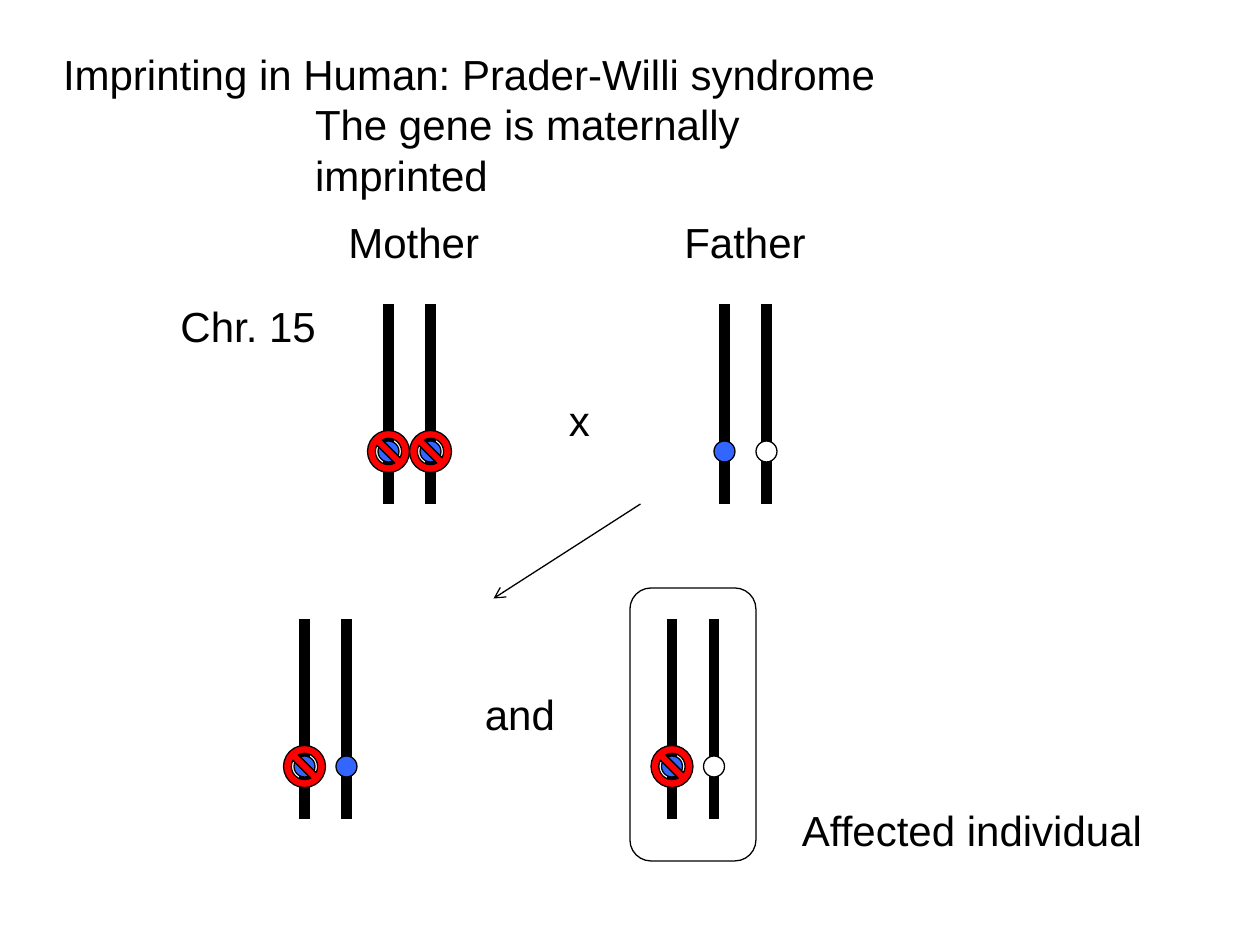
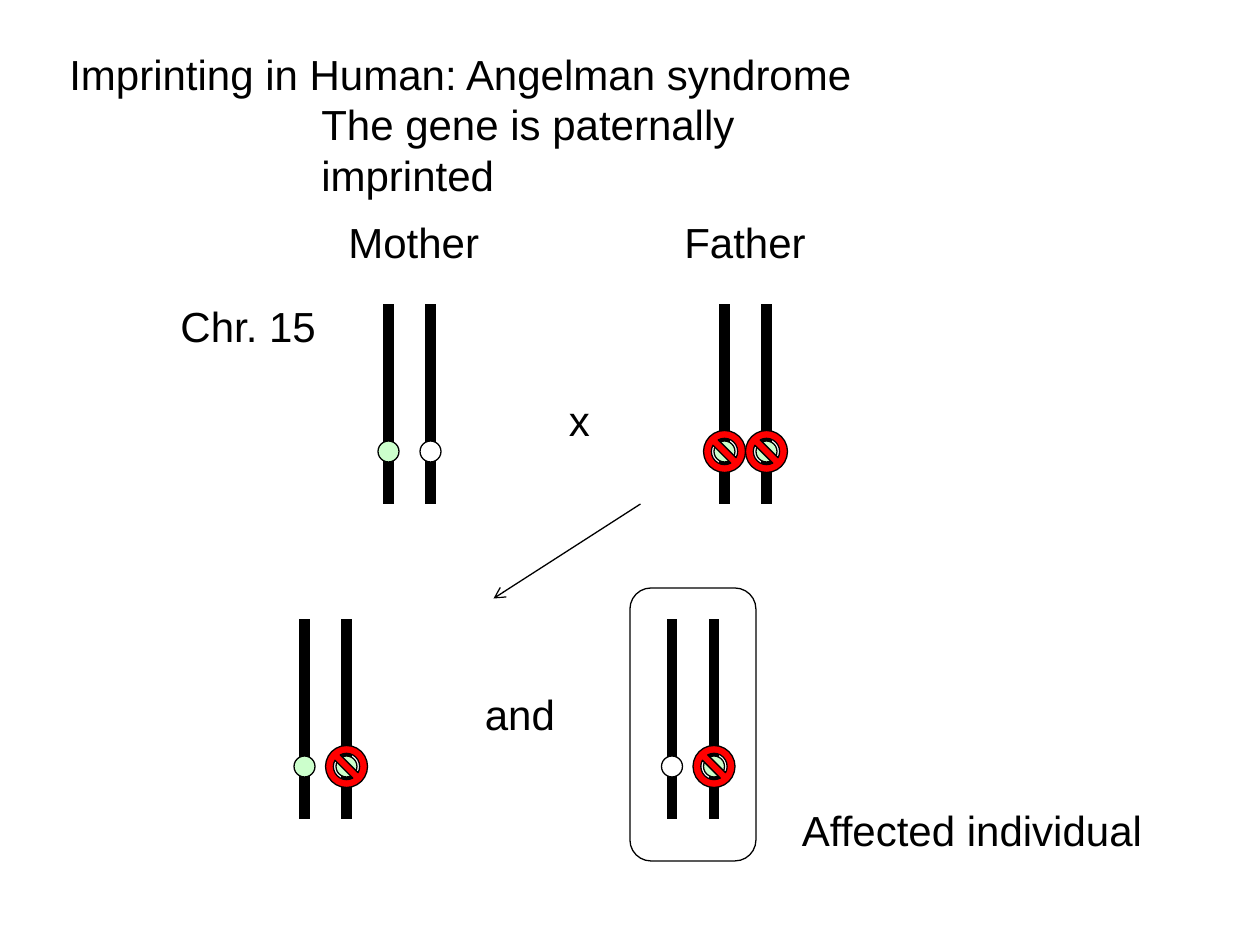
from pptx import Presentation
from pptx import util as u
from pptx.dml import color
from pptx.enum import shapes, text
from pptx.oxml import ns, xmlchemy

HEX = {"ink": "000000", "blue": "3366FF", "green": "CCFFCC",
       "white": "FFFFFF", "red": "FF0000"}
COLS, ROWS = 120, 90
FONT = {"name": "Arial", "size": u.Pt(24), "bold": False}
FRAME = {"margin_left": u.Inches(0.1), "margin_right": u.Inches(0.1),
         "margin_top": u.Inches(0.05), "margin_bottom": u.Inches(0.05),
         "word_wrap": False, "auto_size": text.MSO_AUTO_SIZE.NONE,
         "vertical_anchor": text.MSO_ANCHOR.TOP}
SIDES = ("left", "top", "width", "height")
THIN, THICK = 0.75, 6
INDENT = 24

LABELS = [("Mother", 32, 20, 14.9), ("Father", 64, 20, 13.9),
          ("Chr. 15", 16, 28, 15.5), ("x", 53, 37, 4.3),
          ("and", 45, 65, 9), ("Affected individual", 75.2, 76, 34.8)]
SPOTS = [(37, 29), (69, 29), (29, 59), (64, 59)]
CASES = [
    {"lines": ("Imprinting in Human: Prader-Willi syndrome",
               "The gene is maternally imprinted"),
     "left": 4.8, "wide": 84.4,
     "pairs": [[("blue", True), ("blue", True)],
               [("blue", False), ("white", False)],
               [("blue", True), ("blue", False)],
               [("blue", True), ("white", False)]]},
    {"lines": ("Imprinting in Human: Angelman syndrome",
               "The gene is paternally imprinted"),
     "left": 5.4, "wide": 83.3,
     "pairs": [[("green", False), ("white", False)],
               [("green", True), ("green", True)],
               [("green", False), ("green", True)],
               [("white", False), ("green", True)]]},
]


def put(item, vals):
    for key, val in vals.items():
        setattr(item, key, val)


def tint(name):
    return color.RGBColor.from_string(HEX[name])


class Deck:
    def __init__(self):
        self.prs = Presentation()
        put(self.prs, {"slide_width": u.Inches(10), "slide_height": u.Inches(7.5)})
        self.page = None

    def grid(self, *nums):
        units = (self.prs.slide_width / COLS, self.prs.slide_height / ROWS)
        return [round(num * units[i % 2]) for i, num in enumerate(nums)]

    def start(self):
        self.page = self.prs.slides.add_slide(self.prs.slide_layouts[5])

    def words(self, box, lines):
        frame = box.text_frame
        frame.text = "\n".join(lines)
        put(frame, FRAME)
        for para in frame.paragraphs:
            para.alignment = text.PP_ALIGN.LEFT
            put(para.font, FONT)
            para.font.color.rgb = tint("ink")
        return frame

    def title(self, lines, left, wide):
        box = self.page.shapes.title
        put(box, dict(zip(SIDES, self.grid(left, 4, wide, 10.8))))
        frame = self.words(box, lines)
        props = frame.paragraphs[1]._p.get_or_add_pPr()
        props.set("marL", str(self.grid(INDENT)[0]))
        props.set("indent", "0")

    def label(self, line, left, top, wide):
        box = self.page.shapes.add_textbox(*self.grid(left, top, wide, 6))
        self.words(box, [line])

    def line(self, ends, width, arrow=False):
        link = self.page.shapes.add_connector(
            shapes.MSO_CONNECTOR.STRAIGHT, *self.grid(*ends))
        link.line.width = u.Pt(width)
        link.line.color.rgb = tint("ink")
        props = link._element.spPr
        if arrow:
            tail = xmlchemy.OxmlElement("a:tailEnd")
            tail.set("type", "arrow")
            props.find(ns.qn("a:ln")).append(tail)
        props.append(xmlchemy.OxmlElement("a:effectLst"))

    def shape(self, kind, area, fill=None):
        item = self.page.shapes.add_shape(kind, *self.grid(*area))
        item.shadow.inherit = False
        item.line.width = u.Pt(THIN)
        item.line.color.rgb = tint("ink")
        if fill:
            item.fill.solid()
            item.fill.fore_color.rgb = tint(fill)
        else:
            item.fill.background()

    def pair(self, left, top, genes):
        for i, (fill, muted) in enumerate(genes):
            mid, row = left + 4 * i, top + 14
            self.line((mid, top, mid, top + 19), THICK)
            self.shape(shapes.MSO_SHAPE.OVAL, (mid - 1, row - 1, 2, 2), fill)
            if muted:
                self.shape(shapes.MSO_SHAPE.NO_SYMBOL,
                           (mid - 2, row - 2, 4, 4), "red")


def main():
    deck = Deck()
    for case in CASES:
        deck.start()
        deck.title(case["lines"], case["left"], case["wide"])
        for label in LABELS:
            deck.label(*label)
        for spot, genes in zip(SPOTS, case["pairs"]):
            deck.pair(*spot, genes)
        deck.line((61, 48, 47, 57), THIN, arrow=True)
        deck.shape(shapes.MSO_SHAPE.ROUNDED_RECTANGLE, (60, 56, 12, 26))
    deck.prs.save("out.pptx")


if __name__ == "__main__":
    main()
